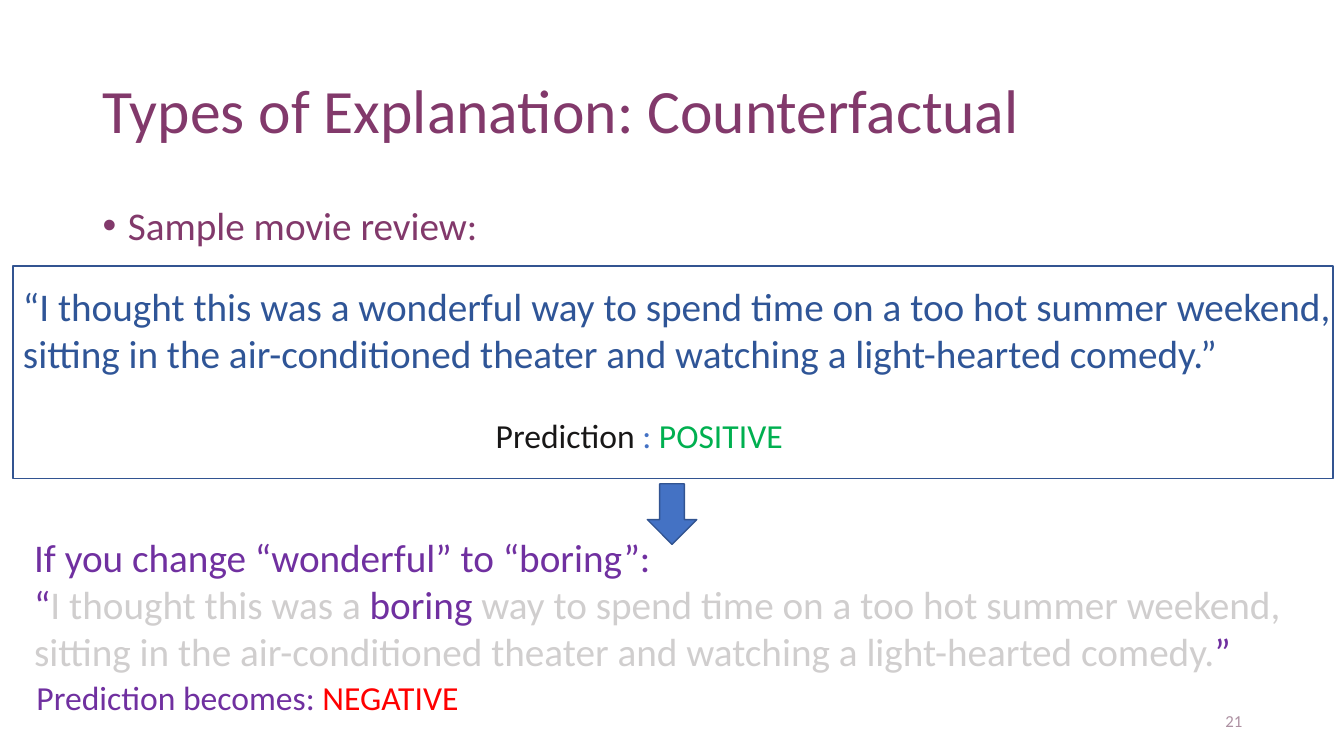
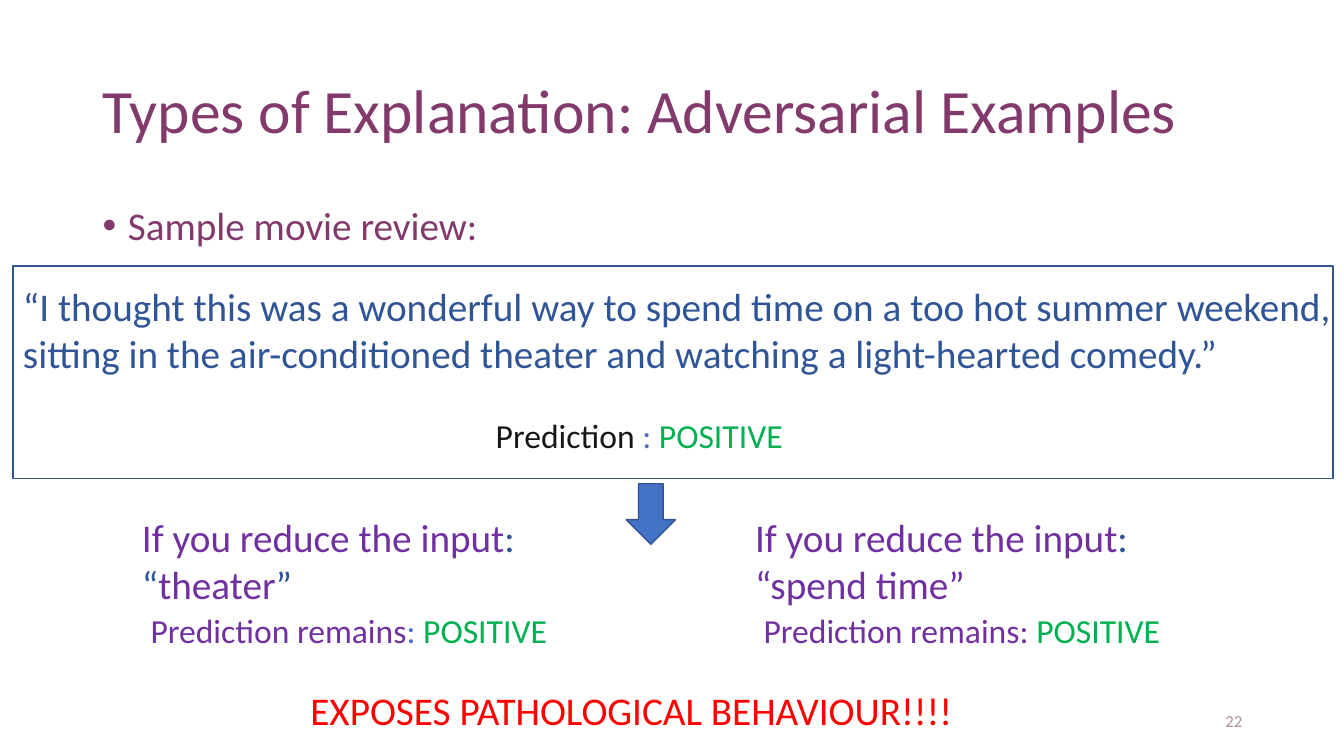
"""Build two slides on counterfactual and adversarial explanations of a movie review."""
from dataclasses import dataclass
from typing import Any, NamedTuple

from lxml.etree import SubElement
from pptx import Presentation
from pptx.dml.color import RGBColor
from pptx.enum.shapes import MSO_SHAPE
from pptx.enum.text import MSO_ANCHOR, MSO_AUTO_SIZE, PP_ALIGN
from pptx.oxml.ns import qn
from pptx.slide import Slide
from pptx.util import Emu, Pt

EMU_PER_PX = 9144

PLUM = "82396B"
MAUVE = "AD91A2"
PURPLE = "7030A0"
NAVY = "2F5597"
BLUE = "4472C4"
OUTLINE = "325491"
GREEN = "00B050"
RED = "FF0000"
GREY = "D0CECE"
INK = "181717"

REVIEW_START = "I thought this was a "
REVIEW_MIDDLE = "way to spend time on a too hot summer weekend,"
REVIEW_END = "sitting in the air-conditioned theater and watching a light-hearted comedy."


class Area(NamedTuple):
    left: int
    top: int
    width: int
    height: int


class Run(NamedTuple):
    text: str
    color: str


Line = list[Run]


@dataclass(frozen=True)
class Style:
    size: int
    frame: dict[str, Any]
    paragraph: dict[str, Any]
    bullet: str = ""


@dataclass(frozen=True)
class Passage:
    area: Area
    style: Style
    lines: list[Line]


@dataclass(frozen=True)
class Explanation:
    title: str
    number: int
    arrow_left: int
    passages: list[Passage]


WRAPPED = {"word_wrap": True}
CENTRED = {"word_wrap": True, "vertical_anchor": MSO_ANCHOR.MIDDLE}
GROWING = {"word_wrap": False, "auto_size": MSO_AUTO_SIZE.SHAPE_TO_FIT_TEXT}

TITLE = Style(44, CENTRED, {"line_spacing": 0.9})
BULLET = Style(28, WRAPPED, {"line_spacing": 0.9}, "•")
PAGE_NUMBER = Style(12, CENTRED, {"alignment": PP_ALIGN.RIGHT})
QUOTE = Style(28, GROWING, {})
PREDICTION = Style(24, GROWING, {"alignment": PP_ALIGN.CENTER})
WARNING = Style(28, GROWING, {"alignment": PP_ALIGN.CENTER})


def px(length: int) -> Emu:
    """Turn px into EMU."""
    return Emu(length * EMU_PER_PX)


def box(area: Area) -> tuple[Emu, ...]:
    """Turn an area in px into EMU positions."""
    return tuple(px(length) for length in area)


def rgb(color: str) -> RGBColor:
    """Turn a hex string into a colour."""
    return RGBColor.from_string(color)


def apply(target: Any, values: dict[str, Any]) -> None:
    """Set every format value on the target."""
    for name, value in values.items():
        setattr(target, name, value)


def add_passage(slide: Slide, passage: Passage) -> None:
    """Write one passage of styled lines."""
    style = passage.style
    frame = slide.shapes.add_textbox(*box(passage.area)).text_frame
    apply(frame, style.frame)
    for index, line in enumerate(passage.lines):
        paragraph = frame.add_paragraph() if index else frame.paragraphs[0]
        apply(paragraph, style.paragraph)
        if style.bullet:
            properties = paragraph._p.get_or_add_pPr()
            properties.set("marL", str(px(25)))
            properties.set("indent", str(px(-25)))
            SubElement(properties, qn("a:buFont"), typeface="Arial")
            SubElement(properties, qn("a:buChar"), char=style.bullet)
        for text, color in line:
            run = paragraph.add_run()
            run.text = text
            apply(run.font, {"name": "Calibri", "size": Pt(style.size)})
            run.font.color.rgb = rgb(color)


def add_outlined(slide: Slide, kind: MSO_SHAPE, area: Area, fill: str = "") -> None:
    """Draw a preset shape with the shared outline."""
    shape = slide.shapes.add_shape(kind, *box(area))
    shape.shadow.inherit = False
    if fill:
        shape.fill.solid()
        shape.fill.fore_color.rgb = rgb(fill)
    else:
        shape.fill.background()
    shape.line.color.rgb = rgb(OUTLINE)
    shape.line.width = Pt(1)


def reduced_input(left: int, quote: Line, colon: str, prediction: Line) -> list[Passage]:
    """Describe one reduced input and the prediction that remains."""
    return [
        Passage(Area(left, 504, 394, 104), QUOTE,
                [[Run("If you reduce the input", PURPLE), Run(":", colon)], quote]),
        Passage(Area(left, 600, 430, 50), PREDICTION,
                [[*prediction, Run("POSITIVE", GREEN)]]),
    ]


SAMPLE_REVIEW = [
    Passage(Area(92, 200, 1150, 476), BULLET, [[Run("Sample movie review:", PLUM)]]),
    Passage(Area(13, 275, 1340, 104), QUOTE, [
        [Run(f"“{REVIEW_START}wonderful {REVIEW_MIDDLE}", NAVY)],
        [Run(f"{REVIEW_END}”", NAVY)],
    ]),
    Passage(Area(480, 407, 308, 50), PREDICTION,
            [[Run("Prediction", INK), Run(" : ", BLUE), Run("POSITIVE", GREEN)]]),
]

COUNTERFACTUAL = Explanation("Counterfactual", 21, 642, [
    Passage(Area(24, 524, 1280, 151), QUOTE, [
        [Run("If you change “wonderful” to “boring”:", PURPLE)],
        [Run("“", PURPLE), Run(REVIEW_START, GREY), Run("boring ", PURPLE),
         Run(REVIEW_MIDDLE, GREY)],
        [Run(REVIEW_END, GREY), Run("”", PURPLE)],
    ]),
    Passage(Area(24, 667, 443, 50), PREDICTION,
            [[Run("Prediction becomes: ", PURPLE), Run("NEGATIVE", RED)]]),
])

ADVERSARIAL = Explanation("Adversarial Examples", 22, 621, [
    *reduced_input(131, [Run("“", NAVY), Run("theater", PURPLE), Run("”", NAVY)], NAVY,
                   [Run("Prediction remains", PURPLE), Run(": ", BLUE)]),
    *reduced_input(739, [Run("“spend time”", PURPLE)], NAVY,
                   [Run("Prediction remains: ", PURPLE)]),
    Passage(Area(294, 676, 664, 57), WARNING,
            [[Run("EXPOSES PATHOLOGICAL BEHAVIOUR!!!!", RED)]]),
])


def add_explanation(slide: Slide, explanation: Explanation) -> None:
    """Draw the shared review and one way of explaining its prediction."""
    heading = f"Types of Explanation: {explanation.title}"
    shared = [
        Passage(Area(92, 40, 1150, 145), TITLE, [[Run(heading, PLUM)]]),
        Passage(Area(942, 695, 300, 40), PAGE_NUMBER,
                [[Run(str(explanation.number), MAUVE)]]),
        *SAMPLE_REVIEW,
    ]
    for passage in shared + explanation.passages:
        add_passage(slide, passage)
    add_outlined(slide, MSO_SHAPE.RECTANGLE, Area(13, 264, 1309, 211))
    add_outlined(slide, MSO_SHAPE.DOWN_ARROW,
                 Area(explanation.arrow_left, 480, 49, 60), BLUE)


def main() -> None:
    """Build and save the presentation."""
    presentation = Presentation()
    apply(presentation, {"slide_width": px(1333), "slide_height": px(750)})
    blank = presentation.slide_layouts[6]
    for explanation in (COUNTERFACTUAL, ADVERSARIAL):
        add_explanation(presentation.slides.add_slide(blank), explanation)
    presentation.save("out.pptx")


if __name__ == "__main__":
    main()
